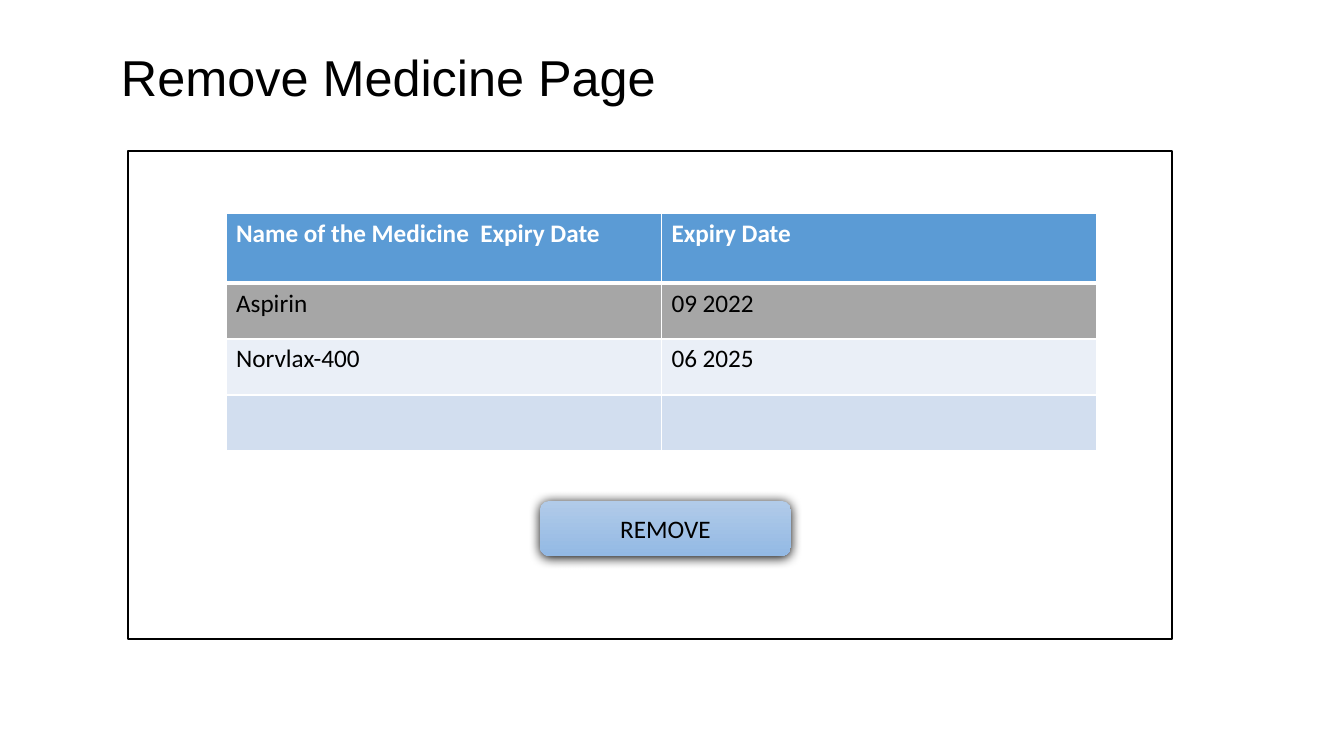
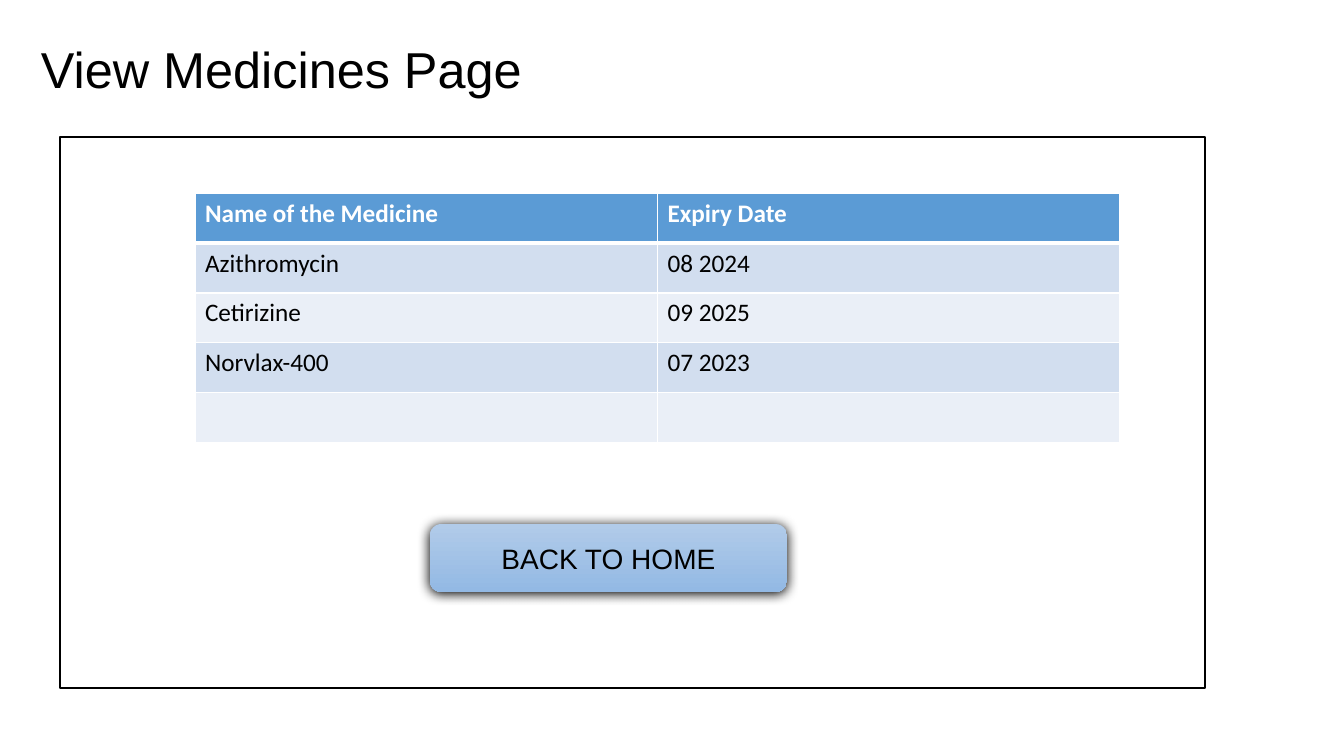
from lxml import etree
from pptx import Presentation
from pptx import util as u
from pptx.dml import color
from pptx.enum import shapes, text
from pptx.oxml import ns

SCALE = 914400 / 100.8
BLACK, WHITE = "000000", "FFFFFF"
HEADER, SELECTED = "5B9BD5", "A6A6A6"
BANDS = ("D2DEEF", "EAEFF7")
BUTTON_GRADIENT = ("B1CBE9", "93B9E4")

TITLE_FONT = {"name": "Arial", "size": u.Pt(36)}
HEADER_FONT = {"name": "Calibri", "size": u.Pt(18), "bold": True}
BODY_FONT = {"name": "Calibri", "size": u.Pt(18), "bold": False}
HOME_FONT = {"name": "Arial", "size": u.Pt(20)}

PAGES = [
    {
        "title": ("Remove Medicine Page", (111, 41, 812, 72)),
        "frame": (128, 151, 1044, 488),
        "table": {
            "box": (226, 213, 871, 238),
            "header_height": 70,
            "rows": [("Name of the Medicine  Expiry Date", "Expiry Date"),
                     ("Aspirin", "09 2022"),
                     ("Norvlax-400", "06 2025"),
                     ("", "")],
            "selected": 1,
        },
        "button": ("REMOVE", (540, 501, 251, 55), BODY_FONT),
    },
    {
        "title": ("View Medicines Page", (31, 33, 595, 72)),
        "frame": (60, 137, 1145, 551),
        "table": {
            "box": (195, 193, 925, 250),
            "header_height": 50,
            "rows": [("Name of the Medicine", "Expiry Date"),
                     ("Azithromycin", "08 2024"),
                     ("Cetirizine", "09 2025"),
                     ("Norvlax-400", "07 2023"),
                     ("", "")],
        },
        "button": ("BACK TO HOME", (430, 524, 357, 68), HOME_FONT),
    },
]


def px(length):
    """Turn picture pixels into EMU."""
    return u.Emu(round(length * SCALE))


def rgb(value):
    """Turn a hex string into a colour."""
    return color.RGBColor.from_string(value)


def write(text_frame, words, font, ink=BLACK):
    """Write one formatted run into a text frame and return its paragraph."""
    paragraph = text_frame.paragraphs[0]
    run = paragraph.add_run()
    run.text = words
    for name, value in font.items():
        setattr(run.font, name, value)
    run.font.color.rgb = rgb(ink)
    return paragraph


def add_title(slide, words, box):
    """Add the page title."""
    text_frame = slide.shapes.add_textbox(*map(px, box)).text_frame
    text_frame.word_wrap = True
    text_frame.auto_size = text.MSO_AUTO_SIZE.SHAPE_TO_FIT_TEXT
    write(text_frame, words, TITLE_FONT)


def add_frame(slide, box):
    """Add the outlined page area."""
    frame = slide.shapes.add_shape(shapes.MSO_SHAPE.RECTANGLE, *map(px, box))
    frame.shadow.inherit = False
    frame.fill.solid()
    frame.fill.fore_color.rgb = rgb(WHITE)
    frame.line.color.rgb = rgb(BLACK)
    frame.line.width = u.Pt(1)


def set_borders(cell, top, bottom):
    """Give a cell white borders, with top and bottom widths in points."""
    properties = cell._tc.get_or_add_tcPr()
    widths = {"lnL": 1, "lnR": 1, "lnT": top, "lnB": bottom}
    for index, (tag, width) in enumerate(widths.items()):
        line = etree.Element(ns.qn(f"a:{tag}"), w=str(u.Pt(width)))
        fill = etree.SubElement(line, ns.qn("a:solidFill"))
        etree.SubElement(fill, ns.qn("a:srgbClr"), val=WHITE)
        properties.insert(index, line)


def add_medicine_table(slide, box, header_height, rows, selected=None):
    """Add a banded table with a header and, if given, a selected row."""
    columns = len(rows[0])
    table = slide.shapes.add_table(len(rows), columns, *map(px, box)).table
    body_height = (box[3] - header_height) / (len(rows) - 1)
    for column in table.columns:
        column.width = px(box[2] / columns)
    for number, values in enumerate(rows):
        is_header = number == 0
        table.rows[number].height = px(header_height if is_header else body_height)
        if is_header:
            fill = HEADER
        elif number == selected:
            fill = SELECTED
        else:
            fill = BANDS[(number - 1) % 2]
        for cell, words in zip(table.rows[number].cells, values):
            cell.fill.solid()
            cell.fill.fore_color.rgb = rgb(fill)
            set_borders(cell, 3 if number == 1 else 1, 3 if is_header else 1)
            if words:
                write(cell.text_frame, words, HEADER_FONT if is_header else BODY_FONT,
                      WHITE if is_header else BLACK)


def add_shadow(shape):
    """Add a soft black shadow just below a shape."""
    shape.shadow.inherit = False
    effects = shape._element.spPr.find(ns.qn("a:effectLst"))
    shadow = etree.SubElement(effects, ns.qn("a:outerShdw"), blurRad=str(u.Pt(8.5)),
                              dist=str(u.Pt(1)), dir="5400000", algn="ctr",
                              rotWithShape="0")
    etree.SubElement(shadow, ns.qn("a:srgbClr"), val=BLACK)


def add_button(slide, words, box, font):
    """Add a rounded button with a vertical gradient."""
    button = slide.shapes.add_shape(shapes.MSO_SHAPE.ROUNDED_RECTANGLE, *map(px, box))
    button.line.fill.background()
    button.fill.gradient()
    button.fill.gradient_angle = 270
    for stop, value in zip(button.fill.gradient_stops, BUTTON_GRADIENT):
        stop.color.rgb = rgb(value)
    add_shadow(button)
    button.text_frame.vertical_anchor = text.MSO_ANCHOR.MIDDLE
    paragraph = write(button.text_frame, words, font)
    paragraph.alignment = text.PP_ALIGN.CENTER


def main():
    """Build the pages and save them."""
    presentation = Presentation()
    presentation.slide_width, presentation.slide_height = px(1344), px(756)
    for page in PAGES:
        slide = presentation.slides.add_slide(presentation.slide_layouts[6])
        add_frame(slide, page["frame"])
        add_title(slide, *page["title"])
        add_medicine_table(slide, **page["table"])
        add_button(slide, *page["button"])
    presentation.save("out.pptx")


main()
